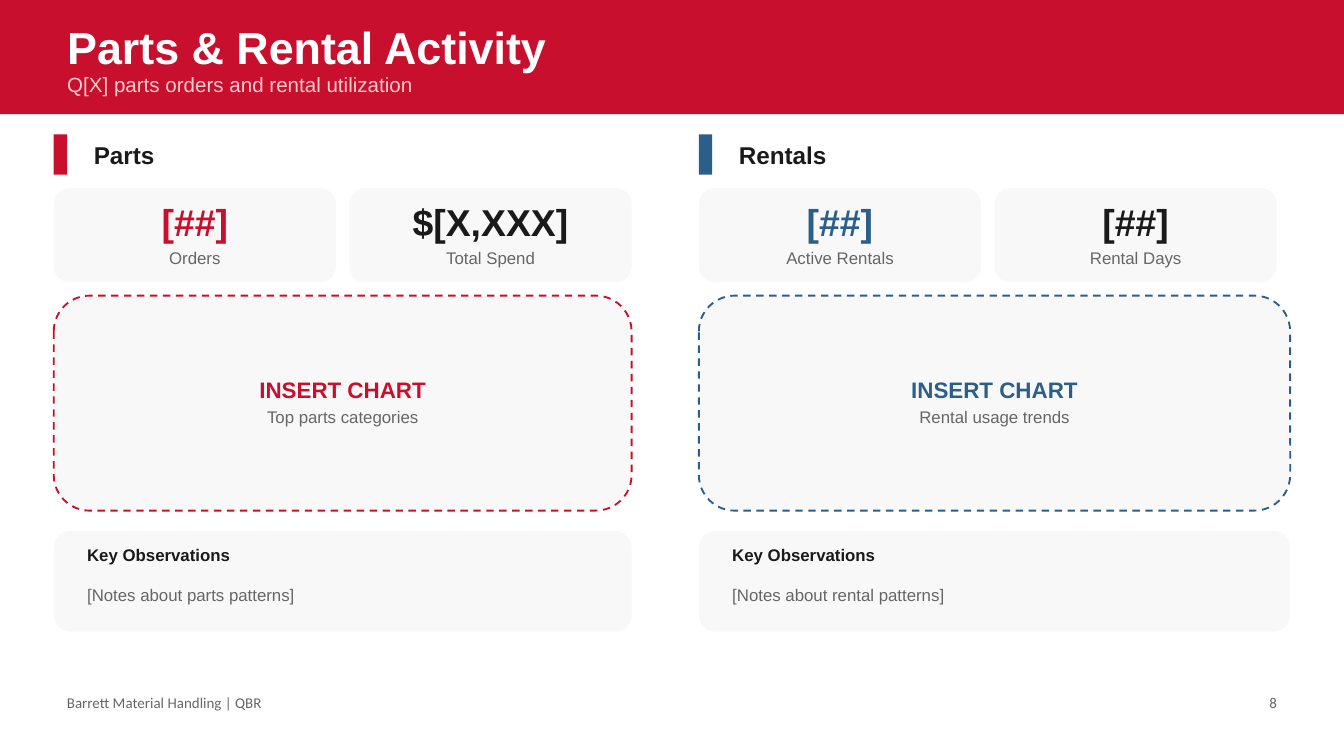
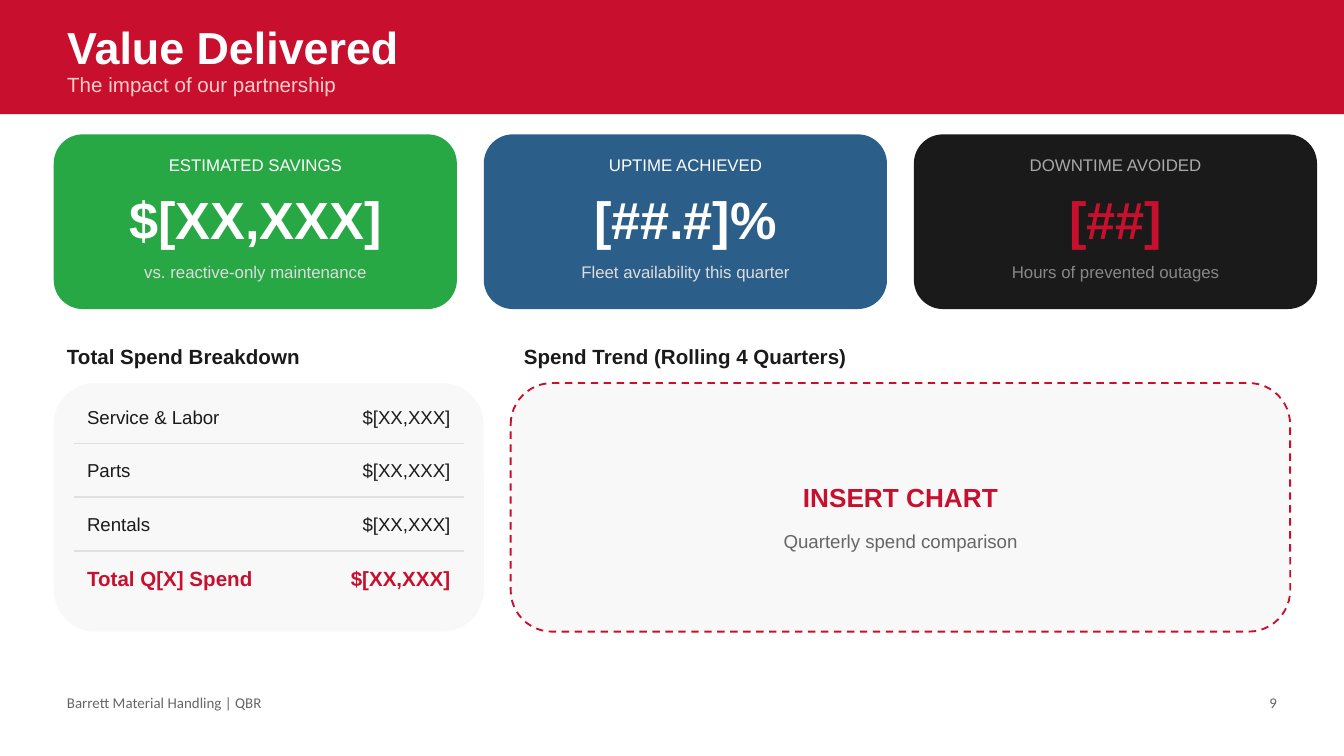
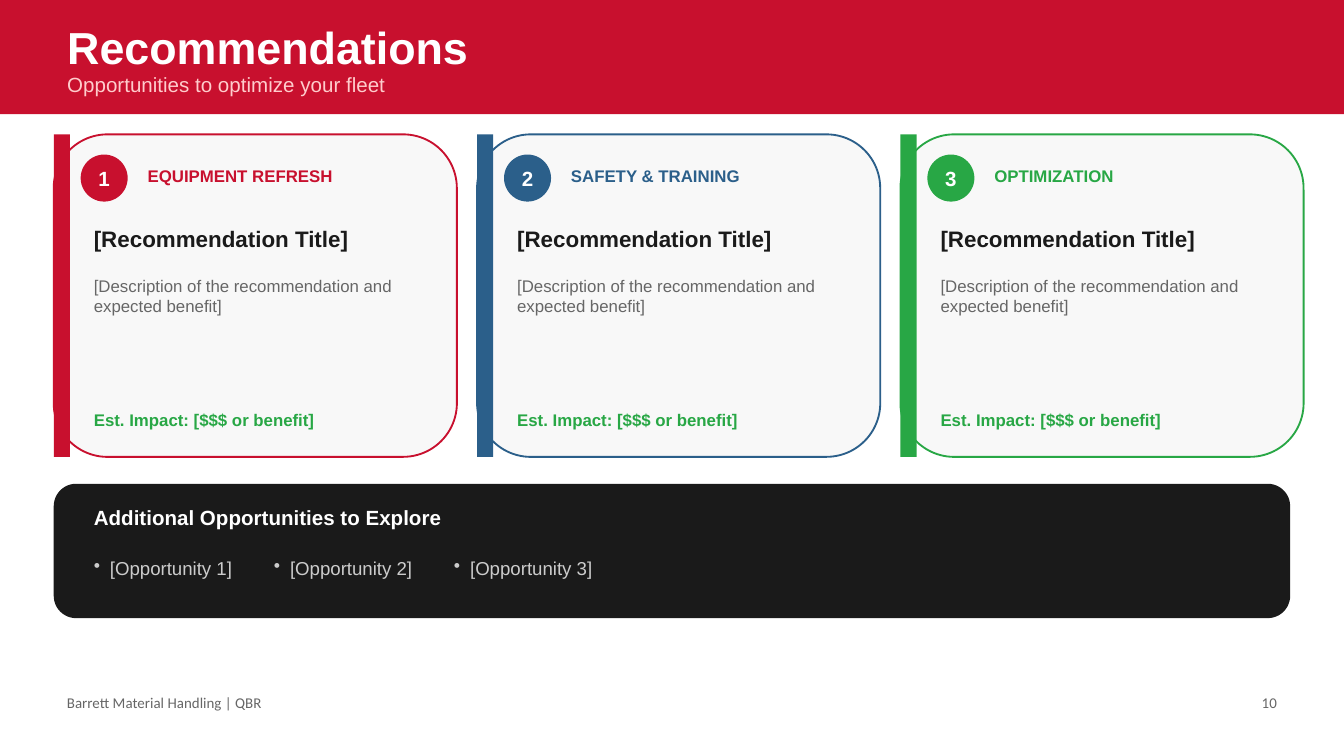
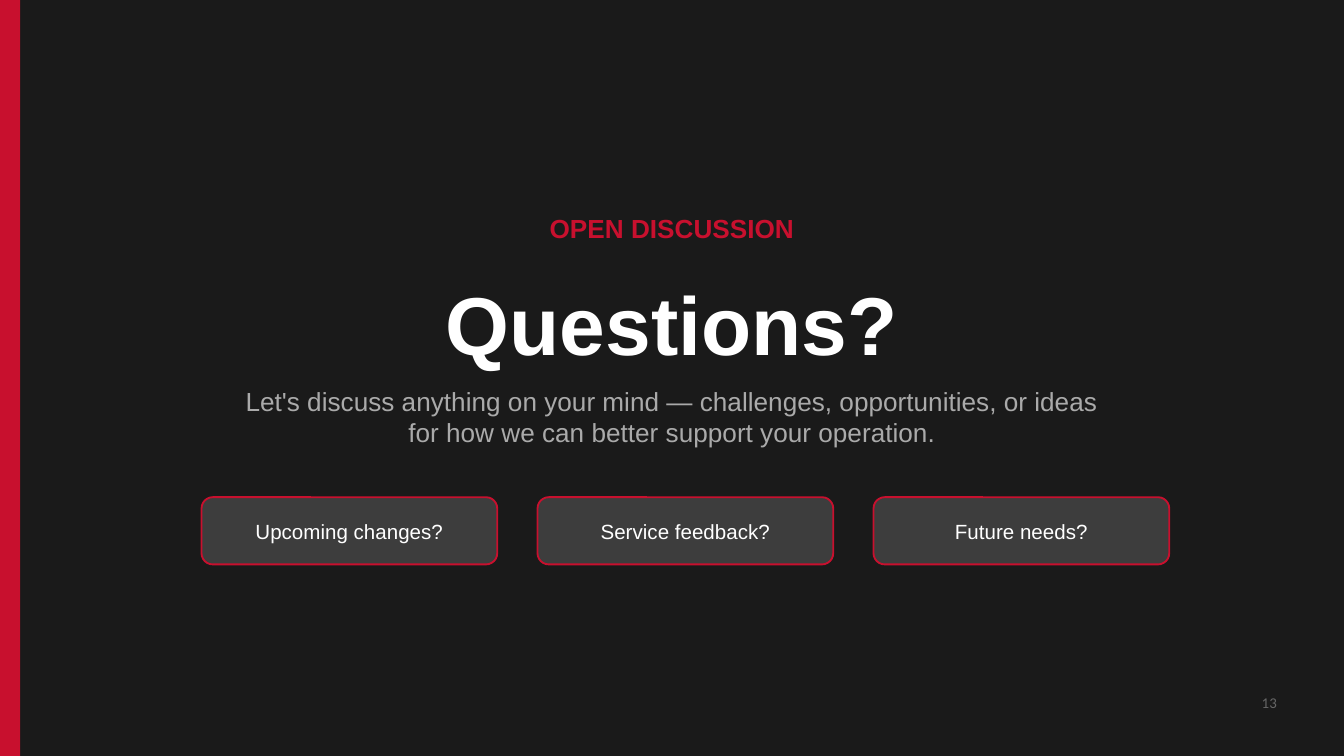
from pptx import Presentation
from pptx.dml.color import RGBColor
from pptx.enum import dml, shapes, text
from pptx.oxml import parse_xml
from pptx.oxml.ns import nsdecls
from pptx.util import Inches, Pt

RED, BLUE, GREEN = "C8102E", "2B5F8A", "28A745"
WHITE, INK, GRAY, PANEL = "FFFFFF", "1A1A1A", "666666", "F8F8F8"
PINK, RULE, CHARCOAL = "FFCCCC", "E0E0E0", "3D3D3D"
SILVER, PALE, SOFT, DIM = "AAAAAA", "DDDDDD", "CCCCCC", "888888"

RECTANGLE = shapes.MSO_SHAPE.RECTANGLE
ROUNDED = shapes.MSO_SHAPE.ROUNDED_RECTANGLE
OVAL = shapes.MSO_SHAPE.OVAL
LEFT, CENTER, RIGHT = text.PP_ALIGN.LEFT, text.PP_ALIGN.CENTER, text.PP_ALIGN.RIGHT
TOP, MIDDLE = text.MSO_ANCHOR.TOP, text.MSO_ANCHOR.MIDDLE

SLIDE_WIDTH, SLIDE_HEIGHT = 10, 10 * 9 / 16
MARGIN = 0.4
CONTENT_TOP = 1
FOOTER_TEXT = "Barrett Material Handling | QBR"


def color(hex_string):
    return RGBColor.from_string(hex_string)


def write(shape, lines, size, ink, bold=False, align=LEFT, anchor=MIDDLE, font="Arial"):
    """Fill a shape's text frame, one paragraph for each line."""
    frame = shape.text_frame
    frame.word_wrap = True
    frame.auto_size = text.MSO_AUTO_SIZE.NONE
    frame.vertical_anchor = anchor
    for index, line in enumerate(lines.split("\n")):
        paragraph = frame.add_paragraph() if index else frame.paragraphs[0]
        paragraph.alignment = align
        paragraph.space_before = Pt(0)
        run = paragraph.add_run()
        run.text = line
        run.font.name = font
        run.font.size = Pt(size)
        run.font.bold = bold
        run.font.color.rgb = color(ink)


def add_text(slide, left, top, width, height, lines, size, ink, **style):
    box = slide.shapes.add_textbox(Inches(left), Inches(top), Inches(width), Inches(height))
    write(box, lines, size, ink, **style)
    return box


def fill_placeholder(placeholder, left, top, width, height, lines, size, ink, **style):
    placeholder.left, placeholder.top = Inches(left), Inches(top)
    placeholder.width, placeholder.height = Inches(width), Inches(height)
    write(placeholder, lines, size, ink, **style)


def add_shape(slide, kind, left, top, width, height, fill, line=None, dashed=False):
    shape = slide.shapes.add_shape(
        kind, Inches(left), Inches(top), Inches(width), Inches(height))
    shape.shadow.inherit = False
    shape.fill.solid()
    shape.fill.fore_color.rgb = color(fill)
    if line is None:
        shape.line.fill.background()
    else:
        shape.line.color.rgb = color(line)
        shape.line.width = Pt(1)
        if dashed:
            shape.line.dash_style = dml.MSO_LINE.DASH
    return shape


def add_rule(slide, left, top, width):
    rule = slide.shapes.add_connector(
        shapes.MSO_CONNECTOR.STRAIGHT,
        Inches(left), Inches(top), Inches(left + width), Inches(top))
    rule.line.color.rgb = color(RULE)
    rule.line.width = Pt(1)
    rule._element.spPr.append(parse_xml(f"<a:effectLst {nsdecls('a')}/>"))


def add_bullet(shape, indent):
    """Give the first paragraph a round bullet with a hanging indent."""
    properties = shape.text_frame.paragraphs[0]._p.get_or_add_pPr()
    properties.set("marL", str(Inches(indent)))
    properties.set("indent", str(-Inches(indent)))
    properties.append(parse_xml(f'<a:buChar {nsdecls("a")} char="•"/>'))


def new_slide(presentation, background):
    slide = presentation.slides.add_slide(presentation.slide_layouts[0])
    slide.background.fill.solid()
    slide.background.fill.fore_color.rgb = color(background)
    return slide


def add_page_number(slide, number):
    add_text(slide, 9.1, 5.1, 0.5, 0.25, str(number), 8, GRAY, align=RIGHT, font="Calibri")


def content_slide(presentation, title, subtitle, number):
    """Add a white slide with the red title band and the footer."""
    slide = new_slide(presentation, WHITE)
    band = add_shape(slide, RECTANGLE, 0, 0, SLIDE_WIDTH, 0.85, RED)
    slide.shapes._spTree.insert(2, band._element)  # behind the placeholders
    fill_placeholder(slide.shapes.title, MARGIN, 0.15, 9, 0.4, title, 24, WHITE, bold=True)
    fill_placeholder(slide.placeholders[1], MARGIN, 0.5, 9, 0.25, subtitle, 11, PINK)
    add_text(slide, MARGIN, 5.1, 4, 0.25, FOOTER_TEXT, 8, GRAY, font="Calibri")
    add_page_number(slide, number)
    return slide


def metric_card(slide, left, top, value, label, ink):
    width = 2.1
    add_shape(slide, ROUNDED, left, top, width, 0.7, PANEL)
    add_text(slide, left, top + 0.05, width, 0.4, value, 20, ink, bold=True, align=CENTER)
    add_text(slide, left, top + 0.42, width, 0.2, label, 9, GRAY, align=CENTER)


def chart_slot(slide, left, top, width, height, accent, caption, heading_box, caption_box, sizes):
    """Draw a dashed chart area; the text boxes are (offset from top, height)."""
    add_shape(slide, ROUNDED, left, top, width, height, PANEL, accent, dashed=True)
    add_text(slide, left, top + heading_box[0], width, heading_box[1],
             "INSERT CHART", sizes[0], accent, bold=True, align=CENTER)
    add_text(slide, left, top + caption_box[0], width, caption_box[1],
             caption, sizes[1], GRAY, align=CENTER)


def activity_column(slide, left, top, width, accent, heading, metrics, chart_caption, notes):
    add_shape(slide, RECTANGLE, left, top, 0.1, 0.3, accent)
    add_text(slide, left + 0.2, top, 2, 0.3, heading, 13, INK, bold=True)
    for index, ((value, label), ink) in enumerate(zip(metrics, (accent, INK))):
        metric_card(slide, left + 2.2 * index, top + 0.4, value, label, ink)
    chart_slot(slide, left, top + 1.2, width, 1.6, accent, chart_caption,
               (0.55, 0.3), (0.8, 0.2), (12, 9))
    notes_top, notes_width = top + 2.95, width - 0.3
    add_shape(slide, ROUNDED, left, notes_top, width, 0.75, PANEL)
    add_text(slide, left + 0.15, notes_top + 0.05, notes_width, 0.25,
             "Key Observations", 9, INK, bold=True)
    add_text(slide, left + 0.15, notes_top + 0.3, notes_width, 0.35, notes, 9, GRAY)


def activity_slide(presentation):
    slide = content_slide(presentation, "Parts & Rental Activity",
                          "Q[X] parts orders and rental utilization", 8)
    activity_column(slide, MARGIN, CONTENT_TOP, 4.3, RED, "Parts",
                    [("[##]", "Orders"), ("$[X,XXX]", "Total Spend")],
                    "Top parts categories", "[Notes about parts patterns]")
    activity_column(slide, 5.2, CONTENT_TOP, 4.4, BLUE, "Rentals",
                    [("[##]", "Active Rentals"), ("[##]", "Rental Days")],
                    "Rental usage trends", "[Notes about rental patterns]")


def value_card(slide, left, top, fill, label, value, note, inks):
    width = 3
    label_ink, value_ink, note_ink = inks
    add_shape(slide, ROUNDED, left, top, width, 1.3, fill)
    add_text(slide, left, top + 0.1, width, 0.25, label, 9, label_ink, align=CENTER)
    add_text(slide, left, top + 0.35, width, 0.55, value, 28, value_ink,
             bold=True, align=CENTER)
    add_text(slide, left, top + 0.9, width, 0.25, note, 9, note_ink, align=CENTER)


def spend_breakdown(slide, left, top, width):
    add_text(slide, left, top, width, 0.3, "Total Spend Breakdown", 11, INK, bold=True)
    add_shape(slide, ROUNDED, left, top + 0.35, width, 1.85, PANEL)
    items = ["Service & Labor", "Parts", "Rentals", "Total Q[X] Spend"]
    row_left, row_width, amount_width = left + 0.15, width - 0.3, 1.1
    label_width = row_width - amount_width
    for index, item in enumerate(items):
        row_top = top + 0.45 + 0.4 * index
        is_total = item == items[-1]
        size, ink = (11, RED) if is_total else (10, INK)
        add_text(slide, row_left, row_top, label_width, 0.3, item, size, ink, bold=is_total)
        add_text(slide, row_left + label_width, row_top, amount_width, 0.3,
                 "$[XX,XXX]", size, ink, bold=is_total, align=RIGHT)
        if not is_total:
            add_rule(slide, row_left, row_top + 0.35, row_width)


def spend_trend(slide, left, top, width):
    add_text(slide, left, top, width, 0.3, "Spend Trend (Rolling 4 Quarters)", 11, INK, bold=True)
    chart_slot(slide, left, top + 0.35, width, 1.85, RED, "Quarterly spend comparison",
               (0.65, 0.4), (1.05, 0.25), (14, 10))


def value_slide(presentation):
    slide = content_slide(presentation, "Value Delivered", "The impact of our partnership", 9)
    on_color = (WHITE, WHITE, PALE)
    cards = [
        (GREEN, "ESTIMATED SAVINGS", "$[XX,XXX]", "vs. reactive-only maintenance", on_color),
        (BLUE, "UPTIME ACHIEVED", "[##.#]%", "Fleet availability this quarter", on_color),
        (INK, "DOWNTIME AVOIDED", "[##]", "Hours of prevented outages", (SILVER, RED, DIM)),
    ]
    for index, card in enumerate(cards):
        value_card(slide, MARGIN + 3.2 * index, CONTENT_TOP, *card)
    spend_breakdown(slide, MARGIN, 2.5, 3.2)
    spend_trend(slide, 3.8, 2.5, 5.8)


def recommendation_card(slide, left, top, number, category, accent):
    height, text_left, text_width = 2.4, left + 0.2, 2.6
    add_shape(slide, ROUNDED, left, top, 3, height, PANEL, accent)
    add_shape(slide, RECTANGLE, left, top, 0.12, height, accent)
    badge = add_shape(slide, OVAL, text_left, top + 0.15, 0.35, 0.35, accent)
    badge.text_frame.margin_left = badge.text_frame.margin_right = 0
    write(badge, str(number), 11, WHITE, bold=True, align=CENTER)
    add_text(slide, left + 0.6, top + 0.18, 2.2, 0.25, category, 9, accent, bold=True)
    add_text(slide, text_left, top + 0.6, text_width, 0.35,
             "[Recommendation Title]", 12, INK, bold=True)
    add_text(slide, text_left, top + 1, text_width, 0.9,
             "[Description of the recommendation and expected benefit]", 9, GRAY, anchor=TOP)
    add_text(slide, text_left, top + 2, text_width, 0.25,
             "Est. Impact: [$$$ or benefit]", 9, GREEN, bold=True)


def opportunities_panel(slide, left, top, width):
    add_shape(slide, ROUNDED, left, top, width, 1, INK)
    add_text(slide, left + 0.2, top + 0.1, width - 0.4, 0.3,
             "Additional Opportunities to Explore", 11, WHITE, bold=True)
    step = 1.34
    for index in range(3):
        item = add_text(slide, left + 0.2 + step * index, top + 0.45, step, 0.35,
                        f"[Opportunity {index + 1}]", 10, SOFT)
        add_bullet(item, 0.12)


def recommendations_slide(presentation):
    slide = content_slide(presentation, "Recommendations",
                          "Opportunities to optimize your fleet", 10)
    categories = [("EQUIPMENT REFRESH", RED), ("SAFETY & TRAINING", BLUE), ("OPTIMIZATION", GREEN)]
    for index, (category, accent) in enumerate(categories):
        recommendation_card(slide, MARGIN + 3.15 * index, CONTENT_TOP,
                            index + 1, category, accent)
    opportunities_panel(slide, MARGIN, 3.6, 9.2)


def questions_slide(presentation):
    slide = new_slide(presentation, INK)
    add_shape(slide, RECTANGLE, 0, 0, 0.15, SLIDE_HEIGHT, RED)
    add_text(slide, 0.5, 1.5, 9, 0.4, "OPEN DISCUSSION", 14, RED, bold=True, align=CENTER)
    fill_placeholder(slide.shapes.title, 0.5, 2, 9, 0.8, "Questions?", 44, WHITE,
                     bold=True, align=CENTER)
    fill_placeholder(slide.placeholders[1], 0.5, 2.8, 9, 0.6,
                     "Let's discuss anything on your mind — challenges, opportunities, or ideas\n"
                     "for how we can better support your operation.",
                     14, SILVER, align=CENTER)
    for index, topic in enumerate(["Upcoming changes?", "Service feedback?", "Future needs?"]):
        button = add_shape(slide, ROUNDED, 1.5 + 2.5 * index, 3.7, 2.2, 0.5, CHARCOAL, RED)
        write(button, topic, 11, WHITE, align=CENTER)
    add_page_number(slide, 13)


def main():
    presentation = Presentation()
    presentation.slide_width = Inches(SLIDE_WIDTH)
    presentation.slide_height = Inches(SLIDE_HEIGHT)
    activity_slide(presentation)
    value_slide(presentation)
    recommendations_slide(presentation)
    questions_slide(presentation)
    presentation.save("out.pptx")


if __name__ == "__main__":
    main()
